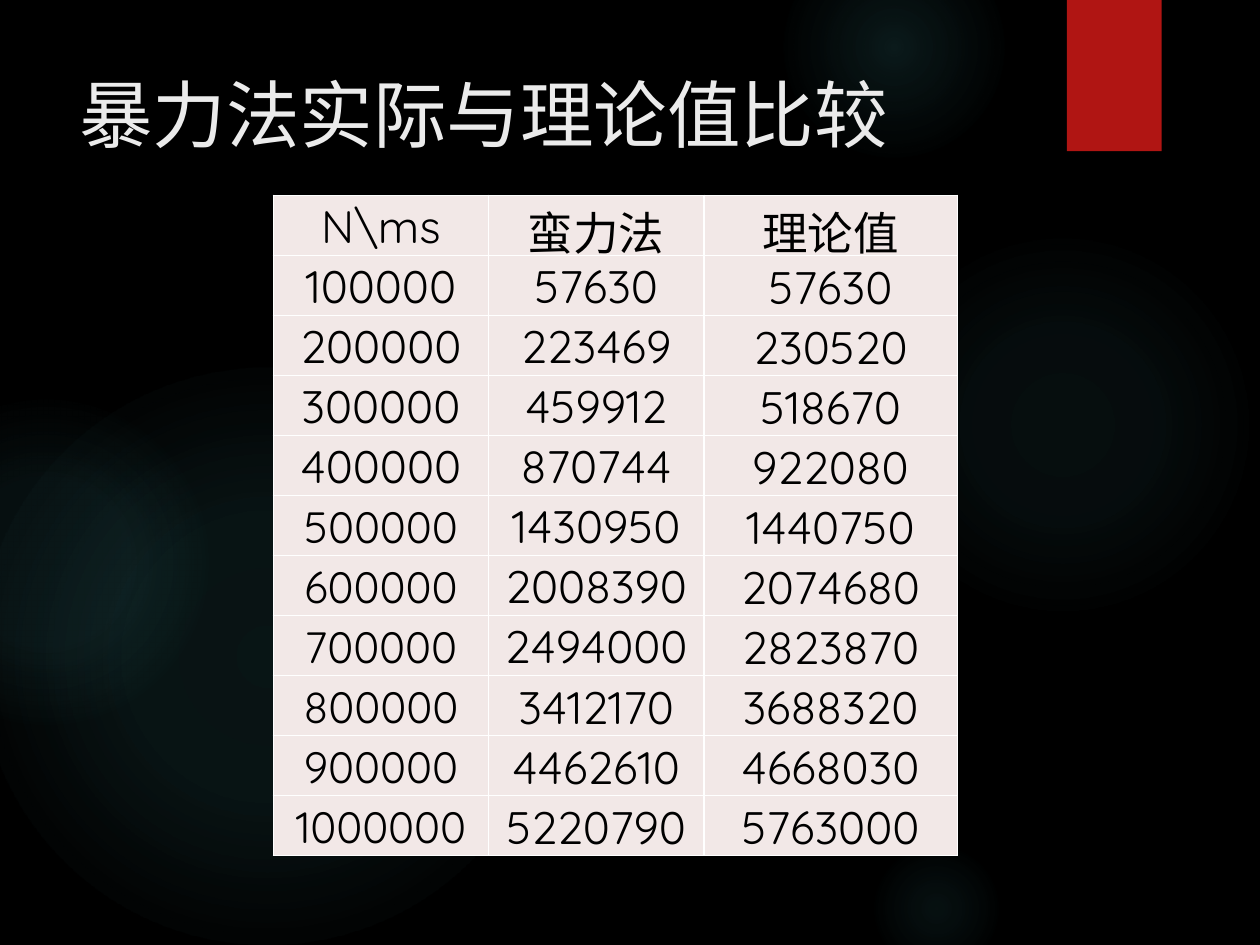
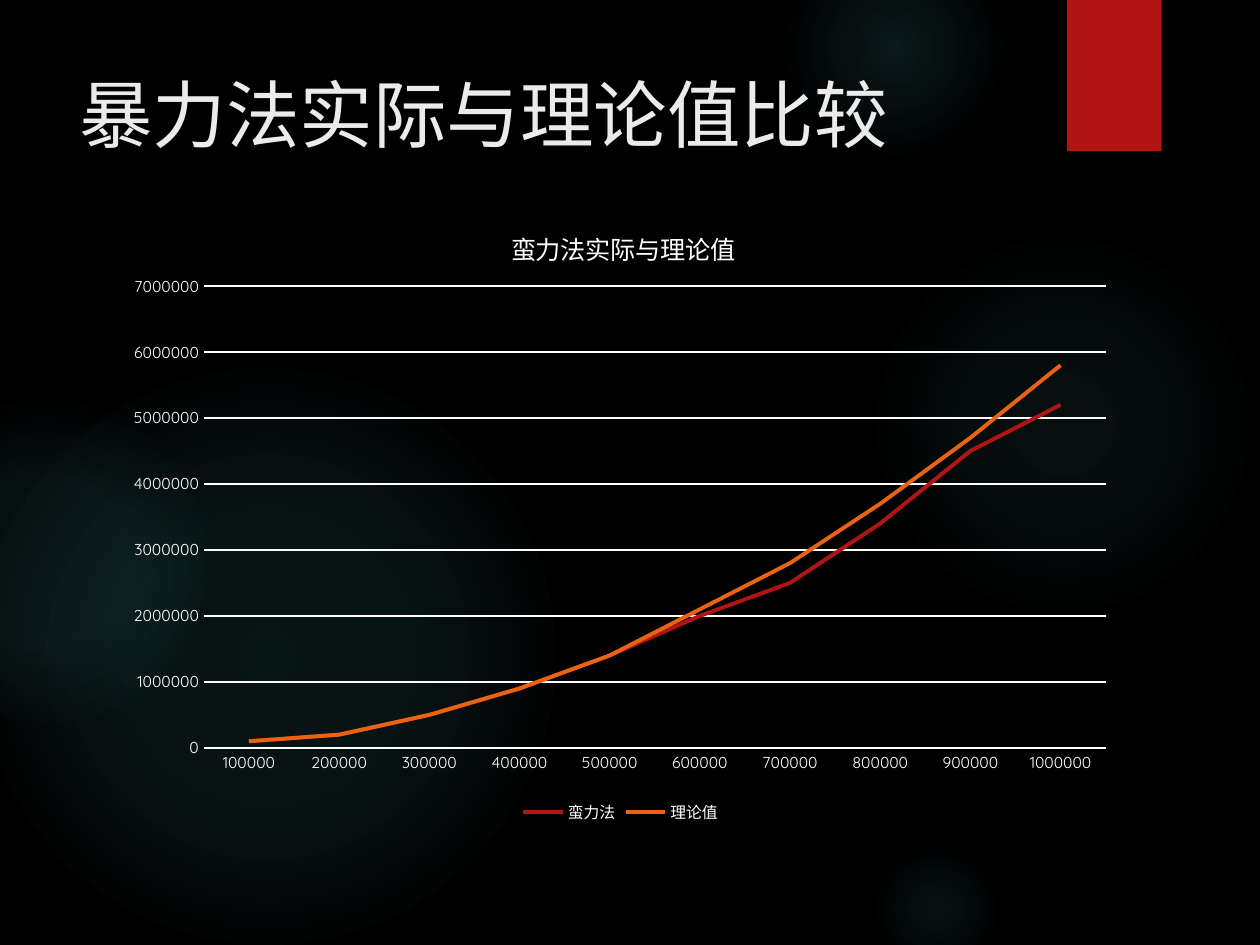
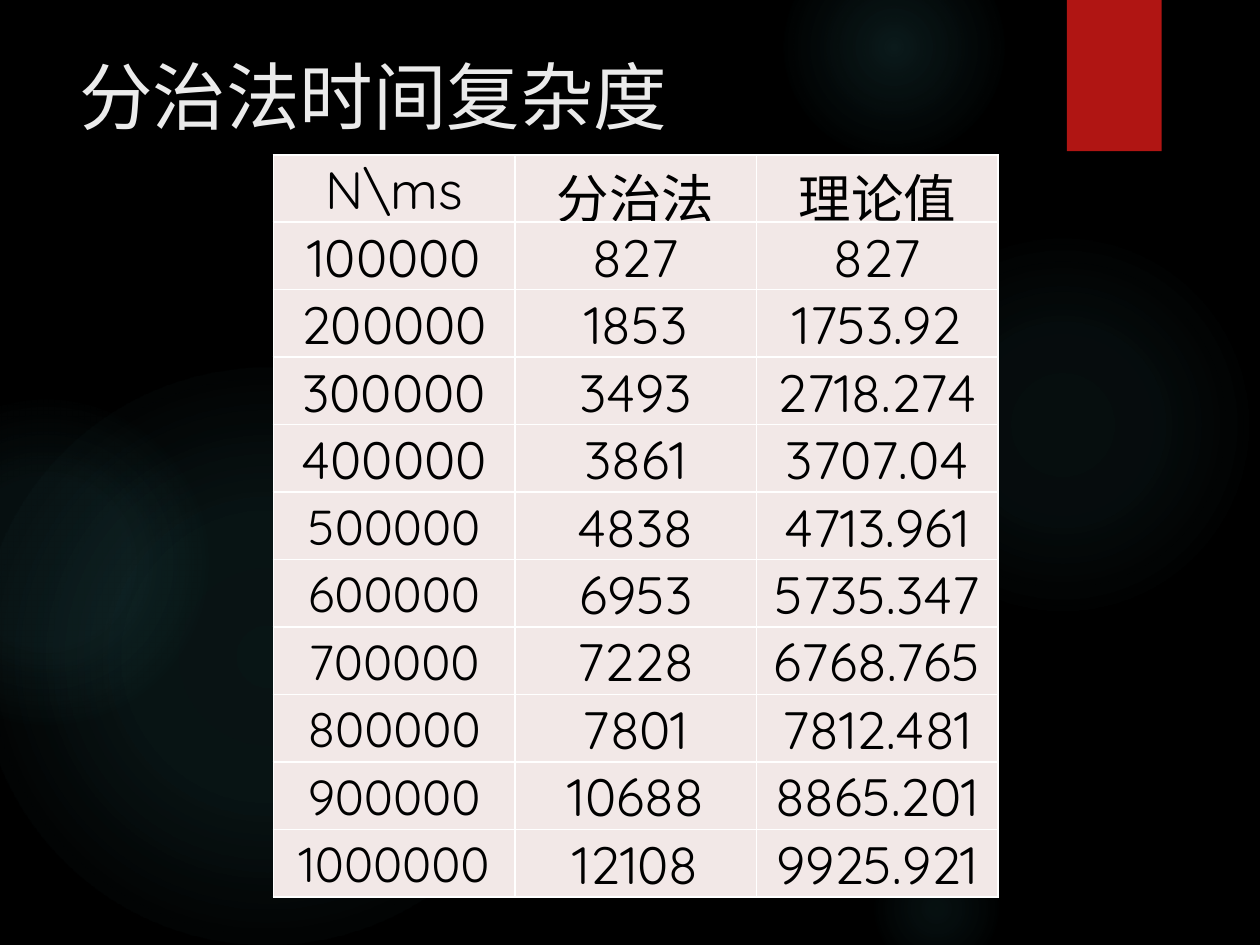
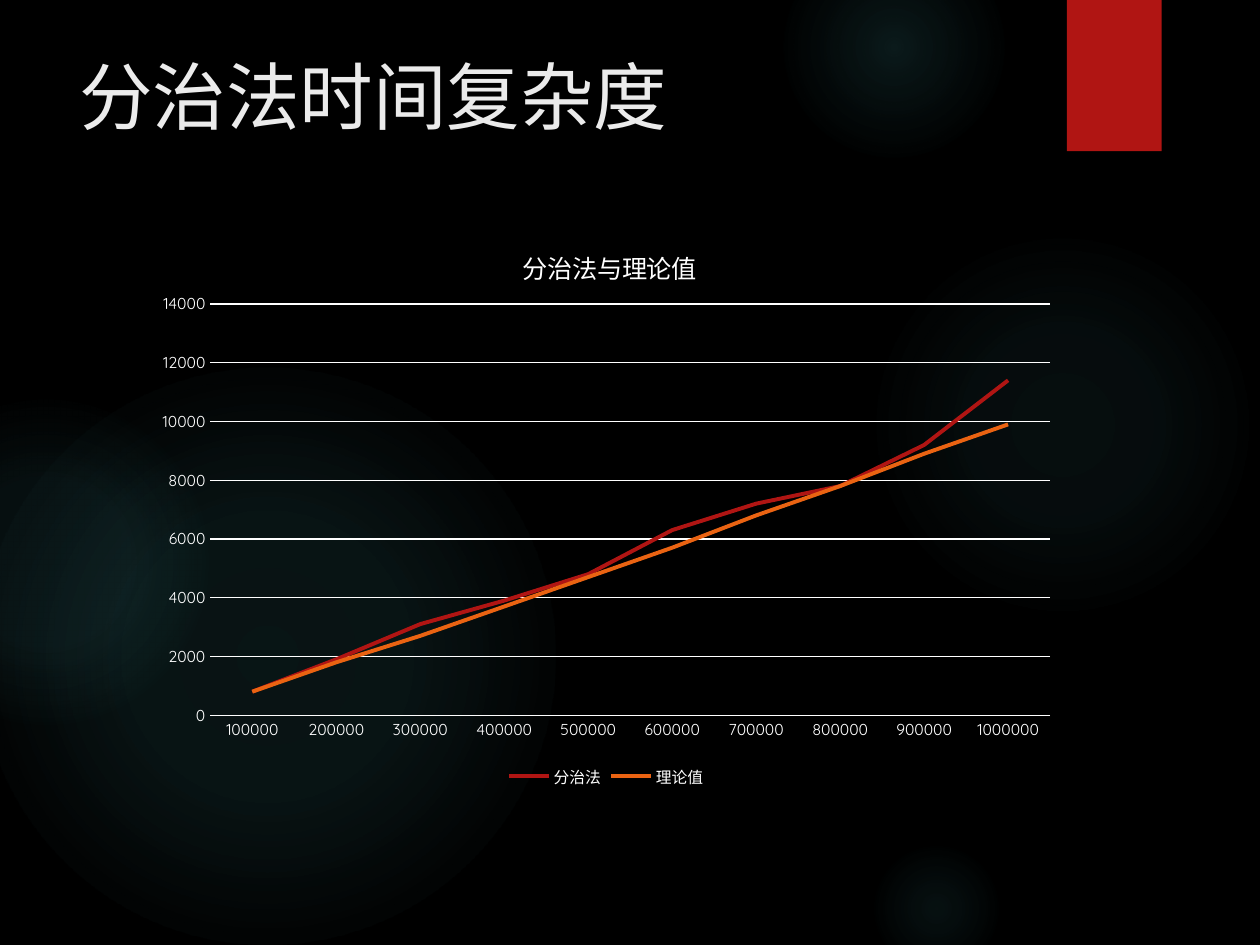
from dataclasses import dataclass

from pptx import Presentation
from pptx.chart.data import CategoryChartData
from pptx.dml.color import RGBColor
from pptx.enum.chart import XL_CHART_TYPE, XL_LEGEND_POSITION, XL_TICK_MARK
from pptx.enum.shapes import MSO_SHAPE
from pptx.enum.text import MSO_ANCHOR, PP_ALIGN
from pptx.oxml import parse_xml
from pptx.oxml.ns import nsdecls
from pptx.util import Cm, Pt


@dataclass(frozen=True)
class Theme:
    """Colours, font and type sizes shared by all slides."""
    font: str = "Quicksand"
    background: RGBColor = RGBColor(0x00, 0x00, 0x00)
    title: RGBColor = RGBColor(0xEB, 0xEB, 0xEB)
    red: RGBColor = RGBColor(0xB0, 0x15, 0x13)
    orange: RGBColor = RGBColor(0xEA, 0x63, 0x12)
    glow: RGBColor = RGBColor(0x50, 0xB9, 0xC1)
    cell: RGBColor = RGBColor(0xF2, 0xE8, 0xE7)
    cell_text: RGBColor = RGBColor(0x00, 0x00, 0x00)
    white: RGBColor = RGBColor(0xFF, 0xFF, 0xFF)
    title_size: float = 42
    chart_title_size: float = 14.4
    chart_size: float = 10
    label_size: float = 9


THEME = Theme()


def style_font(font, size, color):
    """Apply the theme font with a size and colour."""
    font.name = THEME.font
    font.size = Pt(size)
    font.bold = False
    font.color.rgb = color


def place_in_chart(parent, index, fractions, inner=False):
    """Give a chart part a manual layout; fractions maps x, y, w, h to values."""
    for old in parent.xpath("c:layout"):
        parent.remove(old)
    target = '<c:layoutTarget val="inner"/>' if inner else ""
    modes = "".join(f'<c:{k}Mode val="edge"/>' for k in ("x", "y"))
    values = "".join(f'<c:{k} val="{v:.4f}"/>' for k, v in fractions.items())
    parent.insert(index, parse_xml(
        f'<c:layout {nsdecls("c")}><c:manualLayout>{target}{modes}{values}'
        "</c:manualLayout></c:layout>"))


# Glows: left, top, diameter in cm, then (position %, opacity %) stops
GLOWS = [
    (17.5, 4.65, 7.82, [(0, 7), (36, 6), (69, 0)]),
    (15.8, -1.27, 4.45, [(0, 14), (36, 7), (73, 0)]),
    (17.5, 16.94, 2.74, [(0, 9), (36, 5), (66, 0)]),
    (-0.43, 7.42, 11.63, [(0, 11), (36, 10), (75, 0)]),
    (-2.34, 8.05, 6.55, [(0, 8), (36, 8), (72, 0)]),
]

SIZES = [str(n * 100000) for n in range(1, 11)]
BRUTE, DIVIDE, THEORY = "蛮力法", "分治法", "理论值"
BRUTE_TITLE, DIVIDE_TITLE = "暴力法实际与理论值比较", "分治法时间复杂度"

SLIDES = [
    dict(title=BRUTE_TITLE, title_top=1.27, table=dict(
        left=5.51, top=3.94, widths=[4.34, 4.34, 5.11], row_height=1.21,
        size=26, small_size=25, last_header_anchor=MSO_ANCHOR.BOTTOM,
        header=["N\\ms", BRUTE, THEORY],
        measured="57630 223469 459912 870744 1430950 2008390 2494000 "
                 "3412170 4462610 5220790".split(),
        theory="57630 230520 518670 922080 1440750 2074680 2823870 "
               "3688320 4668030 5763000".split())),
    dict(title=BRUTE_TITLE, title_top=1.27, chart=dict(
        box=(2.31, 3.94, 20.4, 12.75), title="蛮力法实际与理论值",
        title_at=(7.9, 0.56), plot=(1.8, 1.83, 18.18, 9.31),
        top_value=7000000, step=1000000,
        series={
            BRUTE: [100000, 200000, 500000, 900000, 1400000, 2000000,
                    2500000, 3400000, 4500000, 5200000],
            THEORY: [100000, 200000, 500000, 900000, 1400000, 2100000,
                     2800000, 3700000, 4700000, 5800000]})),
    dict(title=DIVIDE_TITLE, title_top=0.91, table=dict(
        left=5.51, top=3.12, widths=[4.87] * 3, row_height=1.36,
        size=30, small_size=28, last_header_anchor=MSO_ANCHOR.MIDDLE,
        header=["N\\ms", DIVIDE, THEORY],
        measured="827 1853 3493 3861 4838 6953 7228 7801 10688 12108".split(),
        theory="827 1753.92 2718.274 3707.04 4713.961 5735.347 6768.765 "
               "7812.481 8865.201 9925.921".split())),
    dict(title=DIVIDE_TITLE, title_top=0.91, chart=dict(
        box=(2.9, 4.32, 18.64, 11.66), title="分治法与理论值",
        title_at=(7.54, 0.56), plot=(1.34, 1.81, 16.93, 8.29),
        top_value=14000, step=2000,
        series={
            DIVIDE: [800, 1900, 3100, 3900, 4800, 6300, 7200, 7800, 9200, 11400],
            THEORY: [800, 1800, 2700, 3700, 4700, 5700, 6800, 7800, 8900, 9900]})),
]

prs = Presentation()
prs.slide_width, prs.slide_height = Cm(25.4), Cm(19.05)
backdrop = prs.slide_master.background.fill
backdrop.solid()
backdrop.fore_color.rgb = THEME.background

for spec in SLIDES:
    slide = prs.slides.add_slide(prs.slide_layouts[6])

    # Glowing circles
    for left, top, diameter, stops in GLOWS:
        glow = slide.shapes.add_shape(
            MSO_SHAPE.OVAL, Cm(left), Cm(top), Cm(diameter), Cm(diameter))
        glow.line.fill.background()
        glow.shadow.inherit = False
        glow.fill.background()
        stop_xml = "".join(
            f'<a:gs pos="{pos * 1000}"><a:srgbClr val="{THEME.glow}">'
            f'<a:alpha val="{alpha * 1000}"/></a:srgbClr></a:gs>'
            for pos, alpha in stops)
        properties = glow.element.spPr
        no_fill = properties.xpath("a:noFill")[0]
        properties.replace(no_fill, parse_xml(
            f'<a:gradFill {nsdecls("a")}><a:gsLst>{stop_xml}</a:gsLst>'
            '<a:path path="circle"><a:fillToRect l="50000" t="50000" '
            'r="50000" b="50000"/></a:path></a:gradFill>'))

    # Red ribbon with a soft shadow
    ribbon = slide.shapes.add_shape(
        MSO_SHAPE.RECTANGLE, Cm(21.51), Cm(0), Cm(1.91), Cm(3.05))
    ribbon.fill.solid()
    ribbon.fill.fore_color.rgb = THEME.red
    ribbon.line.fill.background()
    ribbon.shadow.inherit = False
    ribbon.element.spPr.xpath("a:effectLst")[0].append(parse_xml(
        f'<a:outerShdw {nsdecls("a")} blurRad="{Pt(3)}" dist="{Pt(2)}" '
        'dir="5400000" rotWithShape="0"><a:srgbClr val="000000">'
        '<a:alpha val="45000"/></a:srgbClr></a:outerShdw>'))

    # Title
    title_frame = slide.shapes.add_textbox(
        Cm(1.35), Cm(spec["title_top"]), Cm(19.61), Cm(3.89)).text_frame
    title_frame.word_wrap = True
    title_run = title_frame.paragraphs[0].add_run()
    title_run.text = spec["title"]
    style_font(title_run.font, THEME.title_size, THEME.title)

    if "table" in spec:
        t = spec["table"]
        rows = [t["header"], *zip(SIZES, t["measured"], t["theory"])]
        table = slide.shapes.add_table(
            len(rows), len(t["widths"]), Cm(t["left"]), Cm(t["top"]),
            Cm(sum(t["widths"])), Cm(t["row_height"] * len(rows))).table
        table.first_row = table.horz_banding = False
        for column, width in zip(table.columns, t["widths"]):
            column.width = Cm(width)
        for r, values in enumerate(rows):
            table.rows[r].height = Cm(t["row_height"])
            for c, value in enumerate(values):
                cell = table.cell(r, c)
                cell.margin_left = cell.margin_right = cell.margin_top = Cm(0.05)
                cell.margin_bottom = 0
                cell.vertical_anchor = MSO_ANCHOR.MIDDLE
                if c == 2:
                    cell.vertical_anchor = (
                        MSO_ANCHOR.BOTTOM if r else t["last_header_anchor"])
                paragraph = cell.text_frame.paragraphs[0]
                paragraph.alignment = PP_ALIGN.CENTER
                run = paragraph.add_run()
                run.text = value
                small = c == 0 and r >= 5
                style_font(run.font, t["small_size" if small else "size"],
                           THEME.cell_text)
                cell.fill.solid()
                cell.fill.fore_color.rgb = THEME.cell
                cell_properties = cell.fill._xPr
                for i, side in enumerate(("lnL", "lnR", "lnT", "lnB")):
                    cell_properties.insert(i, parse_xml(
                        f'<a:{side} {nsdecls("a")} w="{Pt(1)}"><a:solidFill>'
                        f'<a:srgbClr val="{THEME.white}"/></a:solidFill>'
                        f"</a:{side}>"))

    if "chart" in spec:
        s = spec["chart"]
        data = CategoryChartData()
        data.categories = SIZES
        for name, values in s["series"].items():
            data.add_series(name, values)
        chart = slide.shapes.add_chart(
            XL_CHART_TYPE.LINE, *map(Cm, s["box"]), data).chart
        style_font(chart.font, THEME.chart_size, THEME.white)
        chart.plots[0].vary_by_categories = False
        for series, color in zip(chart.plots[0].series, (THEME.red, THEME.orange)):
            series.smooth = False
            series.format.line.width = Pt(2.25)
            series.format.line.color.rgb = color

        chart.has_title = True
        heading = chart.chart_title.text_frame.paragraphs[0].add_run()
        heading.text = s["title"]
        style_font(heading.font, THEME.chart_title_size, THEME.white)
        chart.has_legend = True
        chart.legend.position = XL_LEGEND_POSITION.BOTTOM
        chart.legend.include_in_layout = False
        style_font(chart.legend.font, THEME.label_size, THEME.white)

        value_axis, category_axis = chart.value_axis, chart.category_axis
        for axis in (value_axis, category_axis):
            axis.major_tick_mark = axis.minor_tick_mark = XL_TICK_MARK.NONE
            style_font(axis.tick_labels.font, THEME.label_size, THEME.white)
        value_axis.minimum_scale = 0
        value_axis.maximum_scale = s["top_value"]
        value_axis.major_unit = s["step"]
        value_axis.format.line.fill.background()
        for line in (category_axis.format.line,
                     value_axis.major_gridlines.format.line):
            line.width = Pt(0.75)
            line.color.rgb = THEME.white

        width, height = s["box"][2:]
        x, y = s["title_at"]
        place_in_chart(chart.element.xpath("c:chart/c:title")[0], 1,
                       dict(x=x / width, y=y / height))
        x, y, w, h = s["plot"]
        place_in_chart(chart.element.xpath("c:chart/c:plotArea")[0], 0,
                       dict(x=x / width, y=y / height, w=w / width, h=h / height),
                       inner=True)

prs.save("out.pptx")
